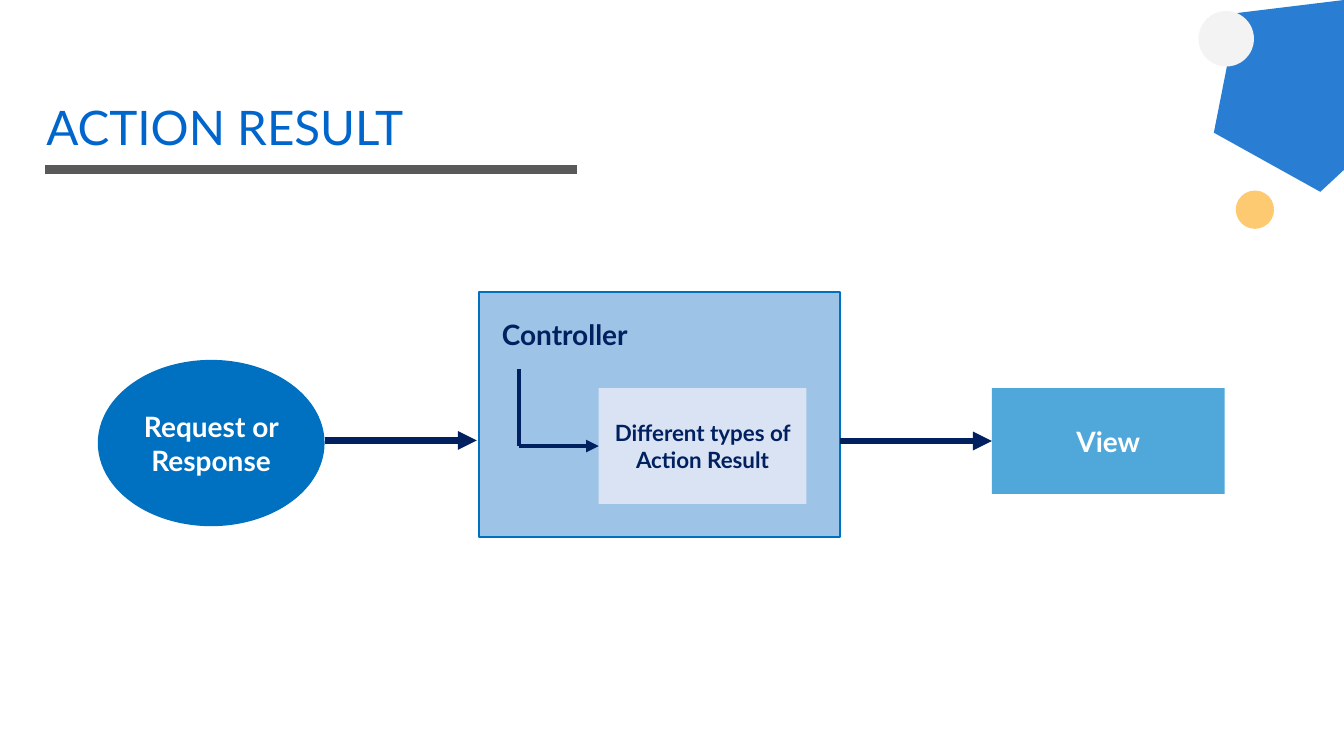
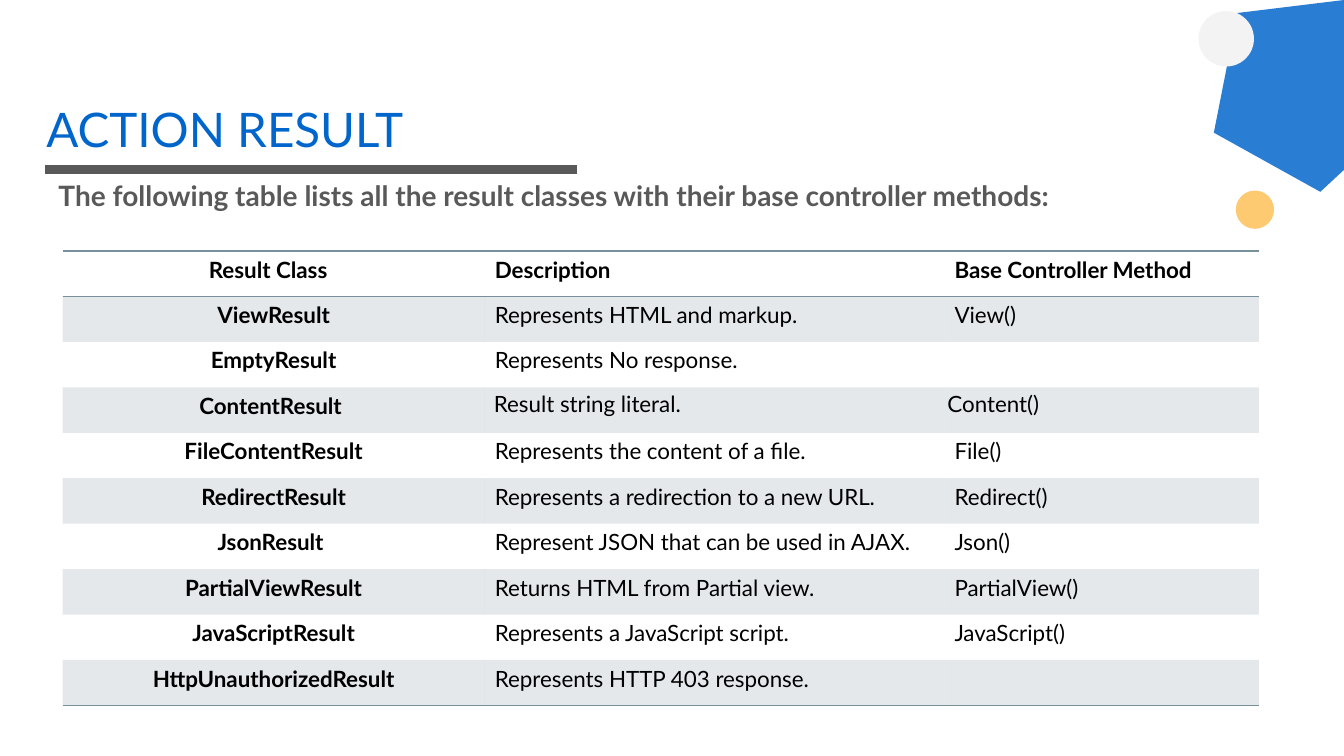
from lxml import etree
from pptx import Presentation
from pptx import util as u
from pptx.dml.color import RGBColor
from pptx.enum import shapes, text
from pptx.oxml import ns

FONT = "Lato"
WHITE = RGBColor(0xFF, 0xFF, 0xFF)
BLACK = RGBColor(0x00, 0x00, 0x00)
GRAY = RGBColor(0x59, 0x59, 0x59)
PALE_GRAY = RGBColor(0xF3, 0xF3, 0xF3)
TITLE_BLUE = RGBColor(0x00, 0x66, 0xCC)
ORANGE = RGBColor(0xFC, 0xA1, 0x06)
NAVY = RGBColor(0x00, 0x20, 0x60)
BLUE = RGBColor(0x00, 0x70, 0xC0)
LIGHT_BLUE = RGBColor(0x9D, 0xC3, 0xE6)
PALE_BLUE = RGBColor(0xDA, 0xE3, 0xF3)
SKY_BLUE = RGBColor(0x4F, 0xA8, 0xD9)
SLATE = RGBColor(0x78, 0x90, 0x9C)

PLAIN_TABLE_STYLE = "{2D5ABB26-0587-4C30-8999-92F81FD0307C}"
COLUMN_WIDTHS = (4.19, 4.56, 3.12)
ROW_HEIGHT = 0.451
RESULT_ROWS = [
    ("Result Class", "Description", "Base Controller Method"),
    ("ViewResult", "Represents HTML and markup.", "View()"),
    ("EmptyResult", "Represents No response.", ""),
    ("ContentResult", "Result string literal.", "Content()"),
    ("FileContentResult", "Represents the content of a file.", "File()"),
    ("RedirectResult", "Represents a redirection to a new URL.", "Redirect()"),
    ("JsonResult", "Represent JSON that can be used in AJAX.", "Json()"),
    ("PartialViewResult", "Returns HTML from Partial view.", "PartialView()"),
    ("JavaScriptResult", "Represents a JavaScript script.", "JavaScript()"),
    ("HttpUnauthorizedResult", "Represents HTTP 403 response.", ""),
]
# (row, column) -> left, top, right and bottom margins that differ from the rest
CELL_MARGINS = {
    (0, 0): (0.1, 0.05, 0.21, 0.05),
    (3, 0): (0.1, 0.05, 0.16, 0.05),
    (3, 1): (0.09, 0.03, 0.03, 0.03),
    (3, 2): (0.03, 0.03, 0.03, 0.03),
    (6, 0): (0.1, 0.05, 0.16, 0.05),
}


def inches(*lengths):
    return [u.Inches(length) for length in lengths]


def set_margins(target, left, top, right, bottom):
    target.margin_left, target.margin_top = inches(left, top)
    target.margin_right, target.margin_bottom = inches(right, bottom)


def add_span(para, words, size, color, bold=False):
    span = para.add_run()
    span.text = words
    span.font.name = FONT
    span.font.size = u.Pt(size)
    span.font.bold = bold
    span.font.color.rgb = color


def set_opacity(properties, percent):
    """Make the solid fill directly inside the properties partly transparent."""
    color = properties.find(f"{ns.qn('a:solidFill')}/{ns.qn('a:srgbClr')}")
    etree.SubElement(color, ns.qn("a:alpha"), val=str(percent * 1000))


def add_box(page, kind, at, fill, words="", size=20, color=WHITE, outline=None):
    box = page.shapes.add_shape(kind, *inches(*at))
    box.shadow.inherit = False
    box.fill.solid()
    box.fill.fore_color.rgb = fill
    if outline is None:
        box.line.fill.background()
    else:
        box.line.color.rgb = outline
        box.line.width = u.Pt(1.5)
    if words:
        box.text_frame.word_wrap = True
        box.text_frame.vertical_anchor = text.MSO_ANCHOR.MIDDLE
        para = box.text_frame.paragraphs[0]
        para.alignment = text.PP_ALIGN.CENTER
        add_span(para, words, size, color, bold=True)
    return box


def add_line(page, start, end, color, width, arrow=False):
    line = page.shapes.add_connector(
        shapes.MSO_CONNECTOR.STRAIGHT, *inches(*start, *end))
    line.line.color.rgb = color
    line.line.width = u.Pt(width)
    if arrow:
        outline = line.element.find(f".//{ns.qn('a:ln')}")
        etree.SubElement(outline, ns.qn("a:tailEnd"), type="triangle")
    etree.SubElement(line.element.spPr, ns.qn("a:effectLst"))
    return line


def middle(box):
    """Height of the box's centre on the page, in inches."""
    return u.Emu(box.top + box.height // 2).inches


def decorate_master(deck, page):
    """Draw the shared decoration on a page, then move it to the master."""
    oval = shapes.MSO_SHAPE.OVAL
    rule = add_line(page, (0.45, 1.68), (5.72, 1.68), GRAY, 6)
    pentagon = add_box(page, shapes.MSO_SHAPE.REGULAR_PENTAGON,
                       (11.93, -0.12, 1.96, 1.86), TITLE_BLUE)
    pentagon.rotation = 317.1
    set_opacity(pentagon.element.spPr, 84)
    orange_dot = add_box(page, oval, (12.26, 1.89, 0.38, 0.38), ORANGE)
    set_opacity(orange_dot.element.spPr, 57)
    gray_dot = add_box(page, oval, (11.89, 0.11, 0.55, 0.55), PALE_GRAY)
    for part in (rule, pentagon, orange_dot, gray_dot):
        deck.slide_master.shapes.element.append(part.element)


def place(placeholder, at):
    placeholder.left, placeholder.top, placeholder.width, placeholder.height = inches(*at)
    frame = placeholder.text_frame
    frame.word_wrap = True
    frame.auto_size = text.MSO_AUTO_SIZE.NONE
    frame.vertical_anchor = text.MSO_ANCHOR.TOP
    para = frame.paragraphs[0]
    para.alignment = text.PP_ALIGN.LEFT
    return frame, para


def set_title(page, words, top, height):
    frame, para = place(page.shapes.title, (0.46, top, 12.42, height))
    set_margins(frame, 0, 0.01, 0, 0)
    add_span(para, words, 34, TITLE_BLUE)


def set_lead(page, words):
    body = page.placeholders[1]
    frame, para = place(body, (0.45, 1.77, 12.5, 4.76))
    set_margins(frame, 0.13, 0.13, 0.13, 0.13)
    para.line_spacing = u.Pt(15)
    para.space_before = u.Pt(10)
    para.space_after = u.Pt(12)
    add_span(para, words, 20, GRAY, bold=True)
    properties = body.element.find(f".//{ns.qn('a:pPr')}")
    properties.set("marL", "0")
    properties.set("indent", "0")
    etree.SubElement(properties, ns.qn("a:buNone"))


def add_border(properties, side):
    """Add a slate edge; borders must come before the cell's fill."""
    border = etree.Element(ns.qn(f"a:{side}"), w=str(u.Pt(1)))
    fill = etree.SubElement(border, ns.qn("a:solidFill"))
    etree.SubElement(fill, ns.qn("a:srgbClr"), val=str(SLATE))
    properties.insert(0, border)


def add_result_table(page):
    row_count, column_count = len(RESULT_ROWS), len(COLUMN_WIDTHS)
    holder = page.shapes.add_table(
        row_count, column_count,
        *inches(0.62, 2.49, sum(COLUMN_WIDTHS), ROW_HEIGHT * row_count))
    table = holder.table
    table.first_row = table.horz_banding = False
    holder.element.find(f".//{ns.qn('a:tableStyleId')}").text = PLAIN_TABLE_STYLE
    for column, width in zip(table.columns, COLUMN_WIDTHS):
        column.width = u.Inches(width)
    for row in table.rows:
        row.height = u.Inches(ROW_HEIGHT)

    cell_elements = holder.element.iter(ns.qn("a:tc"))
    for index, (cell, element) in enumerate(zip(table.iter_cells(), cell_elements)):
        row, column = divmod(index, column_count)
        words = RESULT_ROWS[row][column]
        para = cell.text_frame.paragraphs[0]
        if column == 0:
            para.alignment = text.PP_ALIGN.CENTER
        if words:
            add_span(para, words, 16, BLACK, bold=row == 0 or column == 0)
        else:
            para.font.size = u.Pt(16)
        if (row, column) in CELL_MARGINS:
            set_margins(cell, *CELL_MARGINS[row, column])
        properties = element.get_or_add_tcPr()
        if row % 2:
            cell.fill.solid()
            cell.fill.fore_color.rgb = SLATE
            set_opacity(properties, 20)
        else:
            cell.fill.background()
        if row in (0, row_count - 1):
            add_border(properties, "lnB")
        if row == 0:
            add_border(properties, "lnT")


def add_flow_diagram(page):
    rectangle = shapes.MSO_SHAPE.RECTANGLE
    add_box(page, shapes.MSO_SHAPE.OVAL, (0.97, 3.57, 2.25, 1.65), BLUE,
            "Request or Response")
    add_box(page, rectangle, (4.75, 2.9, 3.58, 2.43), LIGHT_BLUE, outline=BLUE)
    result = add_box(page, rectangle, (5.94, 3.85, 2.06, 1.15), PALE_BLUE,
                     "Different types of Action Result", 16, NAVY)
    view = add_box(page, rectangle, (9.84, 3.85, 2.31, 1.05), SKY_BLUE, "View")

    label = page.shapes.add_textbox(*inches(4.88, 3.1, 1.47, 0.49))
    label.text_frame.word_wrap = False
    add_span(label.text_frame.paragraphs[0], "Controller", 20, NAVY, bold=True)

    result_y, view_y = middle(result), middle(view)
    add_line(page, (5.15, 3.66), (5.15, result_y), NAVY, 3)
    to_result = add_line(page, (5.15, result_y), (5.94, result_y), NAVY, 3, arrow=True)
    to_result.end_connect(result, 1)
    to_view = add_line(page, (8.33, view_y), (9.84, view_y), NAVY, 4.5, arrow=True)
    to_view.end_connect(view, 1)
    add_line(page, (3.22, 4.37), (4.73, 4.37), NAVY, 4.5, arrow=True)


def main():
    deck = Presentation()
    deck.slide_width, deck.slide_height = inches(7.5 * 16 / 9, 7.5)

    flow_page = deck.slides.add_slide(deck.slide_layouts.get_by_name("Title Only"))
    decorate_master(deck, flow_page)
    set_title(flow_page, "ACTION RESULT", 0.96, 0.74)
    add_flow_diagram(flow_page)

    table_page = deck.slides.add_slide(
        deck.slide_layouts.get_by_name("Title and Content"))
    set_title(table_page, "ACTION RESULT", 0.98, 0.68)
    set_lead(table_page, "The following table lists all the result classes "
                         "with their base controller methods:")
    add_result_table(table_page)

    deck.save("out.pptx")


if __name__ == "__main__":
    main()
